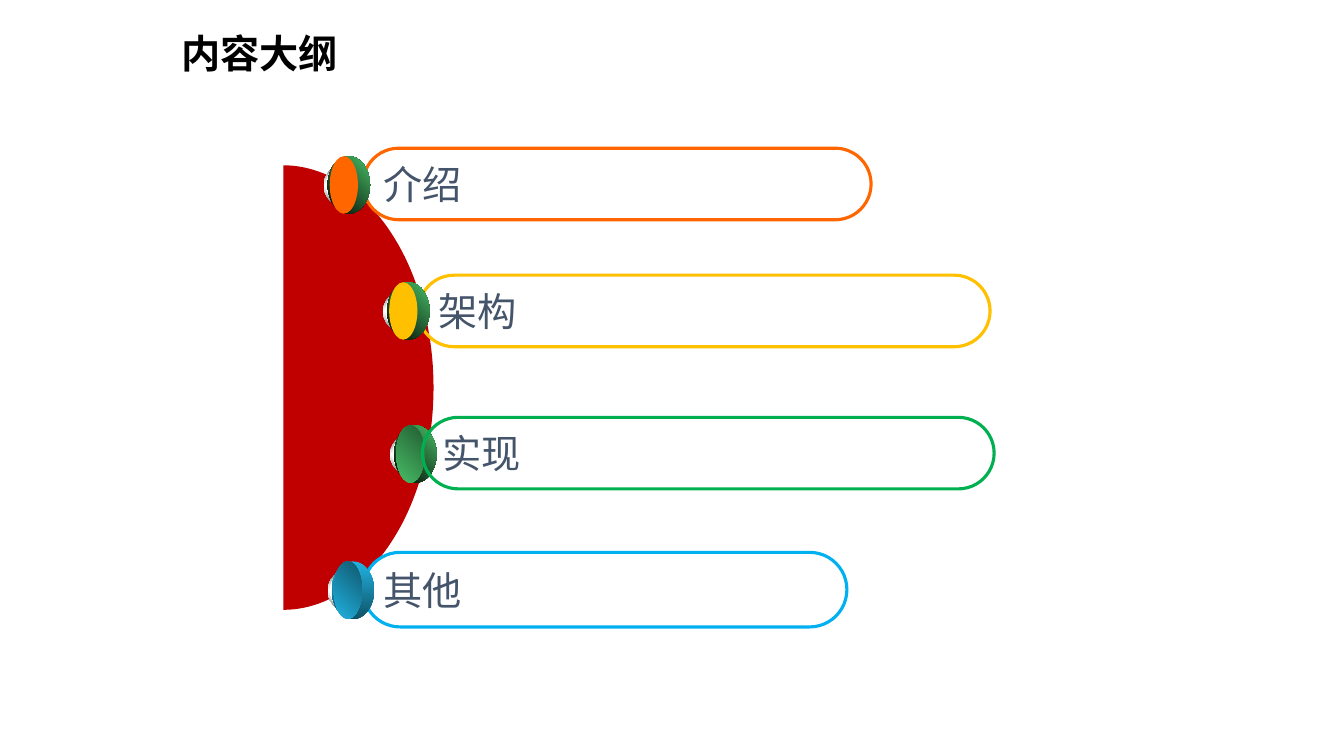
from dataclasses import dataclass
from math import cos, pi, sin
from typing import NamedTuple

from lxml import etree
from pptx import Presentation, util as u
from pptx.dml.color import RGBColor
from pptx.enum import shapes, text
from pptx.oxml.ns import qn

PX = 9144  # EMU per px, 100 px to the inch


class Box(NamedTuple):
    left: int
    top: int
    width: int
    height: int

    def emu(self) -> list[int]:
        return [side * PX for side in self]


@dataclass(frozen=True)
class Gradient:
    colours: tuple[str, ...]  # evenly spaced stops
    angle: int  # clockwise degrees


Paint = str | Gradient


@dataclass(frozen=True)
class Theme:
    font: str = "Noto Sans CJK SC"
    size: int = 28
    title: str = "000000"
    label: str = "44546A"
    disc: str = "C00000"
    outline: float = 2.25
    ring: Gradient = Gradient(("767676", "FFFFFF", "767676"), 90)
    hub: Gradient = Gradient(("FFFFFF", "A2A2A2", "FFFFFF"), 0)
    green_cap: Gradient = Gradient(("000000", "48BE67"), 315)
    green_face: Gradient = Gradient(("48BE67", "235C32"), 315)
    blue_cap: Gradient = Gradient(("21B3E1", "0F5368"), 90)
    blue_face: Gradient = Gradient(("21B3E1", "10576D"), 315)


THEME = Theme()


@dataclass(frozen=True)
class Topic:
    label: str
    pill: Box
    outline: str
    knob: tuple[int, int]  # top left of the knob's cap
    cap: Paint
    face: Paint
    knob_in_front: bool = True


TOPICS = (
    Topic("介绍", Box(360, 147, 504, 71), "FF6600", (325, 155), THEME.green_cap, "FF6600"),
    Topic("架构", Box(415, 273, 567, 71), "FFC000", (384, 280), THEME.green_cap, "FFC000"),
    Topic("实现", Box(419, 414, 567, 71), "00B050", (391, 422), THEME.green_cap,
          THEME.green_face, knob_in_front=False),
    Topic("其他", Box(360, 548, 480, 74), "00B0F0", (329, 557), THEME.blue_cap, THEME.blue_face),
)


def apply_paint(shape, paint: Paint) -> None:
    if isinstance(paint, str):
        shape.fill.solid()
        shape.fill.fore_color.rgb = RGBColor.from_string(paint)
        return
    shape.fill.gradient()
    shape.fill.gradient_angle = (360 - paint.angle) % 360
    stops = shape._element.spPr.find(".//" + qn("a:gsLst"))
    for stop in list(stops):
        stops.remove(stop)
    for index, colour in enumerate(paint.colours):
        position = 100000 * index // (len(paint.colours) - 1)
        stop = etree.SubElement(stops, qn("a:gs"), pos=str(position))
        etree.SubElement(stop, qn("a:srgbClr"), val=colour)


def write_text(frame, wording: str, *, colour: str, bold: bool = False) -> None:
    para = frame.paragraphs[0]
    para.alignment = text.PP_ALIGN.LEFT
    span = para.add_run()
    span.text = wording
    span.font.name = THEME.font
    span.font.size = u.Pt(THEME.size)
    span.font.bold = bold
    span.font.color.rgb = RGBColor.from_string(colour)
    etree.SubElement(span._r.get_or_add_rPr(), qn("a:ea"), typeface=THEME.font)


def add_title(page, wording: str, box: Box) -> None:
    frame = page.shapes.add_textbox(*box.emu()).text_frame
    frame.word_wrap = True
    frame.auto_size = text.MSO_AUTO_SIZE.SHAPE_TO_FIT_TEXT
    write_text(frame, wording, colour=THEME.title, bold=True)


def add_half_disc(page, box: Box, steps: int = 90) -> None:
    radius = box.height / 2
    points = [
        ((box.left + box.width * sin(turn)) * PX, (box.top + radius - radius * cos(turn)) * PX)
        for turn in (pi * step / steps for step in range(steps + 1))
    ]
    builder = page.shapes.build_freeform(*points[0])
    builder.add_line_segments(points[1:], close=True)
    disc = builder.convert_to_shape()
    disc.shadow.inherit = False
    disc.line.fill.background()
    apply_paint(disc, THEME.disc)


def add_pill(page, topic: Topic) -> None:
    pill = page.shapes.add_shape(shapes.MSO_SHAPE.ROUNDED_RECTANGLE, *topic.pill.emu())
    pill.adjustments[0] = 0.5
    pill.shadow.inherit = False
    pill.fill.background()
    pill.line.color.rgb = RGBColor.from_string(topic.outline)
    pill.line.width = u.Pt(THEME.outline)
    pill.text_frame.word_wrap = False
    pill.text_frame.vertical_anchor = text.MSO_ANCHOR.MIDDLE
    write_text(pill.text_frame, topic.label, colour=THEME.label)


def add_knob(page, topic: Topic) -> None:
    left, top = topic.knob
    layers = (
        (Box(left - 4, top + 8, 42, 42), THEME.ring),
        (Box(left - 2, top + 10, 37, 37), THEME.hub),
        (Box(left, top, 42, 57), topic.cap),
        (Box(left + 2, top, 28, 57), topic.face),
    )
    group = page.shapes.add_group_shape()
    for box, paint in layers:
        oval = group.shapes.add_shape(shapes.MSO_SHAPE.OVAL, *box.emu())
        oval.shadow.inherit = False
        oval.line.fill.background()
        apply_paint(oval, paint)


def main() -> None:
    deck = Presentation()
    deck.slide_width, deck.slide_height = 1333 * PX, 750 * PX
    page = deck.slides.add_slide(deck.slide_layouts[6])

    # Title and the red half disc
    add_title(page, "内容大纲", Box(170, 24, 500, 60))
    add_half_disc(page, Box(281, 164, 149, 441))

    # Outline topics, each a pill with a knob
    for topic in TOPICS:
        parts = (add_pill, add_knob) if topic.knob_in_front else (add_knob, add_pill)
        for add_part in parts:
            add_part(page, topic)

    deck.save("out.pptx")


if __name__ == "__main__":
    main()
